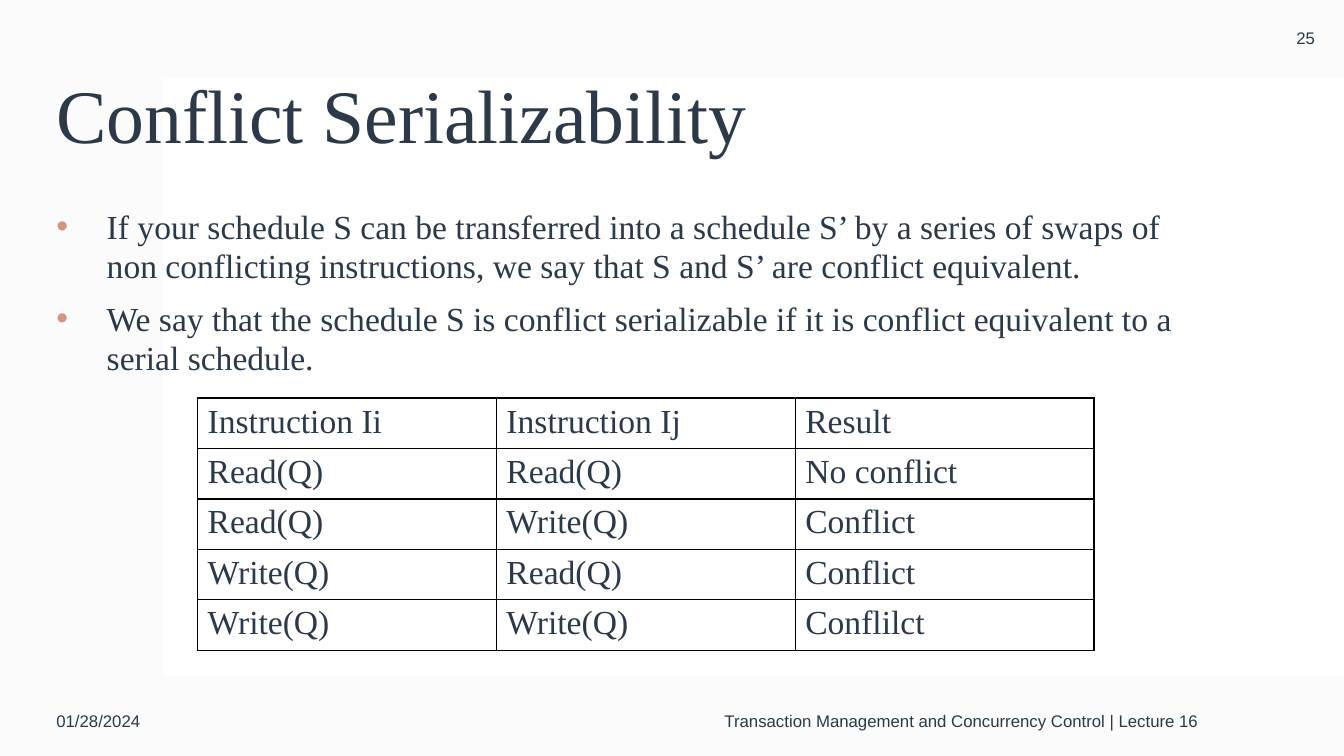
from dataclasses import dataclass

from lxml import etree
from pptx import Presentation, util as u
from pptx.dml.color import RGBColor
from pptx.enum import shapes, text
from pptx.oxml import parse_xml
from pptx.oxml.ns import nsdecls, qn


@dataclass(frozen=True)
class Theme:
    ink: str = "2C3948"
    accent: str = "D6947C"
    veil: str = "F4F4F4"
    paper: str = "FFFFFF"
    rule: str = "000000"
    serif: str = "Times New Roman"
    sans: str = "Arial"
    title_size: int = 54
    body_size: int = 24
    small_size: int = 12


def write(p, words, *, font, size, color, align=text.PP_ALIGN.LEFT):
    p.alignment = align
    r = p.add_run()
    r.text = words
    r.font.name = font
    r.font.size = u.Pt(size)
    r.font.color.rgb = RGBColor.from_string(color)


class Deck:
    """Holds the theme and the current slide."""

    def __init__(self, theme, width, height):
        self.theme = theme
        self.prs = Presentation()
        self.prs.slide_width, self.prs.slide_height = u.Cm(width), u.Cm(height)
        self.s = self.prs.slides.add_slide(self.prs.slide_layouts[5])
        self.serif = dict(font=theme.serif, size=theme.body_size, color=theme.ink)
        self.small = dict(font=theme.sans, size=theme.small_size, color=theme.ink)

    def panel(self, box, color, opacity=100):
        sp = self.s.shapes.add_shape(shapes.MSO_SHAPE.RECTANGLE, *map(u.Cm, box))
        sp.shadow.inherit = False
        sp.fill.solid()
        sp.fill.fore_color.rgb = RGBColor.from_string(color)
        sp.line.fill.background()
        if opacity < 100:
            clr = sp.fill._xPr.find(".//" + qn("a:srgbClr"))
            etree.SubElement(clr, qn("a:alpha"), val=str(opacity * 1000))

    def title(self, box, words):
        """Fill the title placeholder and bring it in front of the panels."""
        sp = self.s.shapes.title
        self.s.shapes._spTree.append(sp._element)
        sp.left, sp.top, sp.width, sp.height = map(u.Cm, box)
        tf = sp.text_frame
        tf.auto_size = text.MSO_AUTO_SIZE.NONE
        tf.vertical_anchor = text.MSO_ANCHOR.MIDDLE
        write(tf.paragraphs[0], words, **(self.serif | {"size": self.theme.title_size}))

    def frame(self, box, anchor):
        tf = self.s.shapes.add_textbox(*map(u.Cm, box)).text_frame
        tf.word_wrap = True
        tf.vertical_anchor = anchor
        return tf

    def label(self, box, words, align=text.PP_ALIGN.LEFT):
        tf = self.frame(box, text.MSO_ANCHOR.MIDDLE)
        write(tf.paragraphs[0], words, align=align, **self.small)

    def bullets(self, box, items):
        tf = self.frame(box, text.MSO_ANCHOR.TOP)
        for i, item in enumerate(items):
            p = tf.add_paragraph() if i else tf.paragraphs[0]
            pPr = p._p.get_or_add_pPr()
            pPr.set("marL", str(u.Cm(1.27)))
            pPr.set("indent", str(-u.Cm(1.27)))
            clr = etree.SubElement(pPr, qn("a:buClr"))
            etree.SubElement(clr, qn("a:srgbClr"), val=self.theme.accent)
            etree.SubElement(pPr, qn("a:buFont"), typeface=self.theme.sans)
            etree.SubElement(pPr, qn("a:buChar"), char="•")
            p.line_spacing = u.Pt(28)
            if i:
                p.space_before = u.Pt(10)
            write(p, item, **self.serif)

    def table(self, left, top, col_width, row_height, rows):
        n_rows, n_cols = len(rows), len(rows[0])
        size = (col_width * n_cols, row_height * n_rows)
        tbl = self.s.shapes.add_table(n_rows, n_cols, *map(u.Cm, (left, top, *size))).table
        tbl.first_row = tbl.horz_banding = False
        for row, values in zip(tbl.rows, rows):
            for cell, value in zip(row.cells, values):
                cell.fill.background()
                self.borders(cell)
                write(cell.text_frame.paragraphs[0], value, **self.serif)

    def borders(self, cell):
        tcPr = cell._tc.get_or_add_tcPr()
        for i, side in enumerate("LRTB"):
            tcPr.insert(i, parse_xml(
                f'<a:ln{side} {nsdecls("a")} w="{u.Pt(1)}"><a:solidFill>'
                f'<a:srgbClr val="{self.theme.rule}"/></a:solidFill></a:ln{side}>'))


def main():
    theme = Theme()
    width, height = 33.87, 19.05
    left, content_width = 1.17, 29.29
    panel_left, panel_top = 4.11, 1.98
    footer_top, footer_height = 17.27, 1.78
    deck = Deck(theme, width, height)

    deck.panel((0, 0, width, height), theme.veil, opacity=35)
    deck.panel((panel_left, panel_top, width - panel_left, 15.06), theme.paper)
    deck.title((left, 1.02, content_width, 3.68), "Conflict Serializability")
    deck.bullets((left, 5.08, content_width, 11.68), [
        "If your schedule S can be transferred into a schedule S’ by a series of swaps of "
        "non conflicting instructions, we say that S and S’ are conflict equivalent.",
        "We say that the schedule S is conflict serializable if it is conflict equivalent "
        "to a serial schedule.",
    ])
    deck.label((left, footer_top, 7.62, footer_height), "01/28/2024")
    deck.label((10.46, footer_top, 20, footer_height),
               "Transaction Management and Concurrency Control | Lecture 16",
               text.PP_ALIGN.RIGHT)
    deck.label((31.95, 0, 1.91, 1.91), "25", text.PP_ALIGN.CENTER)
    deck.table(4.98, 10.03, 7.53, 1.04, [
        ("Instruction Ii", "Instruction Ij", "Result"),
        ("Read(Q)", "Read(Q)", "No conflict"),
        ("Read(Q)", "Write(Q)", "Conflict"),
        ("Write(Q)", "Read(Q)", "Conflict"),
        ("Write(Q)", "Write(Q)", "Conflilct"),
    ])
    deck.prs.save("out.pptx")


if __name__ == "__main__":
    main()
